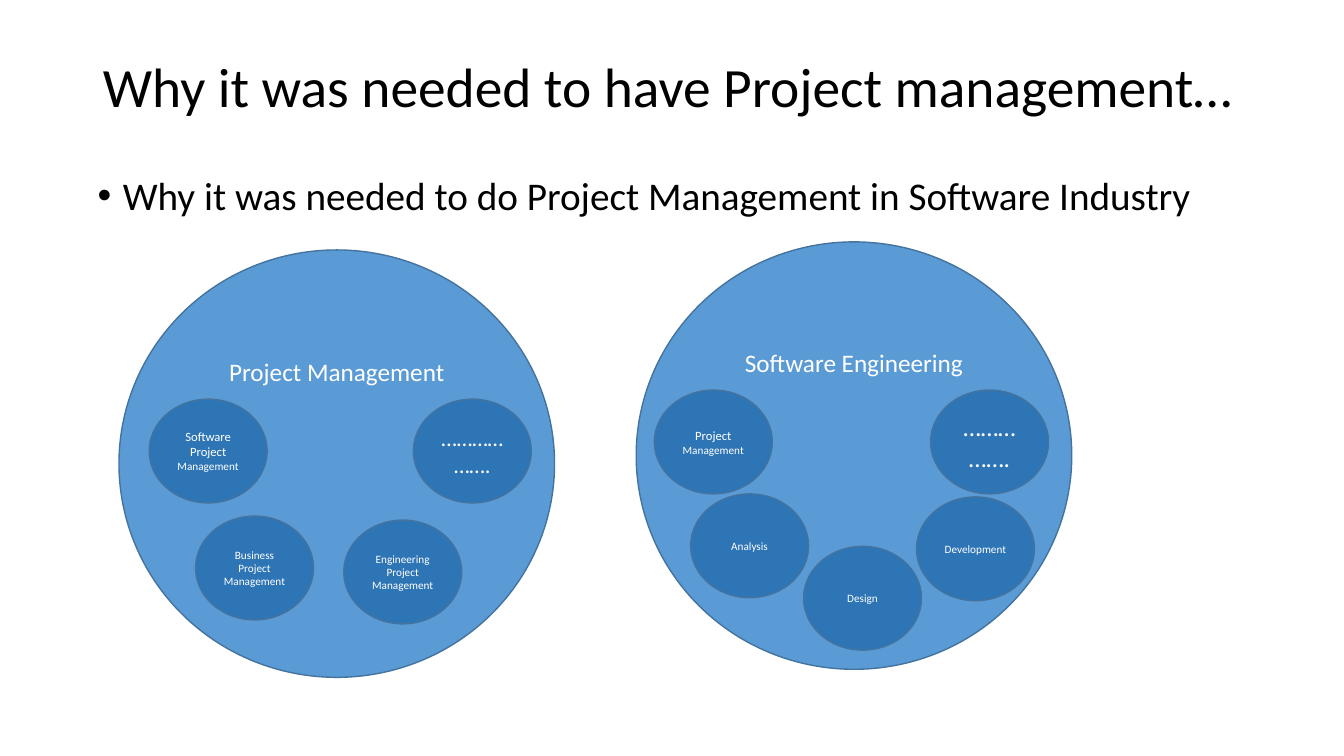
from dataclasses import dataclass

from lxml.etree import SubElement
from pptx import Presentation
from pptx.dml.color import RGBColor
from pptx.enum.shapes import MSO_SHAPE
from pptx.enum.text import MSO_ANCHOR, MSO_AUTO_SIZE, PP_ALIGN
from pptx.oxml.ns import qn
from pptx.util import Inches, Pt


@dataclass(frozen=True)
class Theme:
    font: str = "Calibri"
    ink: RGBColor = RGBColor(0x00, 0x00, 0x00)
    light: RGBColor = RGBColor(0xFF, 0xFF, 0xFF)
    field: RGBColor = RGBColor(0x5B, 0x9B, 0xD5)
    topic: RGBColor = RGBColor(0x2E, 0x75, 0xB6)
    outline: RGBColor = RGBColor(0x43, 0x73, 0x9E)
    title: float = 39.6
    body: float = 28
    heading: float = 18
    dots: float = 16
    label: float = 9
    small: float = 8


theme = Theme()


def add_run(paragraph, text, size, color):
    run = paragraph.add_run()
    run.text = text
    run.font.name = theme.font
    run.font.size = Pt(size)
    run.font.color.rgb = color


def add_circle(left, top, width, height, fill, lines):
    circle = slide.shapes.add_shape(
        MSO_SHAPE.OVAL, Inches(left), Inches(top), Inches(width), Inches(height))
    circle.shadow.inherit = False
    circle.fill.solid()
    circle.fill.fore_color.rgb = fill
    circle.line.color.rgb = theme.outline
    circle.line.width = Pt(1)
    frame = circle.text_frame
    frame.word_wrap = True
    frame.vertical_anchor = MSO_ANCHOR.MIDDLE
    for number, line in enumerate(lines):
        paragraph = frame.add_paragraph() if number else frame.paragraphs[0]
        paragraph.alignment = PP_ALIGN.CENTER
        for text, size in line:
            add_run(paragraph, text, size, theme.light)
    return circle


prs = Presentation()
prs.slide_width = Inches(13.33)
prs.slide_height = Inches(7.5)
slide = prs.slides.add_slide(prs.slide_layouts[5])

# Title
title = slide.shapes.title
title.left, title.top = Inches(0.92), Inches(0.4)
title.width, title.height = Inches(11.5), Inches(0.97)
title.text_frame.auto_size = MSO_AUTO_SIZE.NONE
title.text_frame.word_wrap = True
title.text_frame.vertical_anchor = MSO_ANCHOR.MIDDLE
heading = title.text_frame.paragraphs[0]
heading.alignment = PP_ALIGN.LEFT
heading.line_spacing = 0.9
add_run(heading, "Why it was needed to have Project management…", theme.title, theme.ink)

# Bulleted question
question = slide.shapes.add_textbox(Inches(0.87), Inches(1.7), Inches(11.5), Inches(0.6))
question.text_frame.word_wrap = True
bullet = question.text_frame.paragraphs[0]
bullet_format = bullet._p.get_or_add_pPr()
bullet_format.set("marL", str(Inches(0.25)))
bullet_format.set("indent", str(Inches(-0.25)))
SubElement(bullet_format, qn("a:buFont")).set("typeface", "Arial")
SubElement(bullet_format, qn("a:buChar")).set("char", "•")
bullet.line_spacing = 0.9
add_run(bullet, "Why it was needed to do Project Management in Software Industry",
        theme.body, theme.ink)

# Two fields, each headed near the top of its circle
for left, top, name in [(1.18, 2.48, "Project Management"),
                        (6.31, 2.4, "Software Engineering")]:
    field = add_circle(left, top, 4.32, 4.24, theme.field, [[(name, theme.heading)]])
    field.text_frame.vertical_anchor = MSO_ANCHOR.TOP
    field.text_frame.margin_top = Inches(0.43)

# Topics inside the fields: left, top, lines of (text, size)
topics = [
    (6.49, 3.87, [[("Project ", theme.label), ("Management", theme.small)]]),
    (6.85, 4.9, [[("Analysis", theme.small)]]),
    (9.09, 4.93, [[("Development", theme.small)]]),
    (7.97, 5.42, [[("Design", theme.small)]]),
    (1.48, 3.96, [[("Software", theme.label)],
                  [("Project ", theme.label), ("Management", theme.small)]]),
    (1.94, 5.12, [[("Business Project Management", theme.small)]]),
    (4.1, 3.96, [[("……………….", theme.dots)]]),
    (3.41, 5.16, [[("Engineering Project Management", theme.small)]]),
    (9.23, 3.87, [[("…………….", theme.heading)]]),
]
for left, top, lines in topics:
    add_circle(left, top, 1.17, 1.03, theme.topic, lines)

prs.save("out.pptx")
